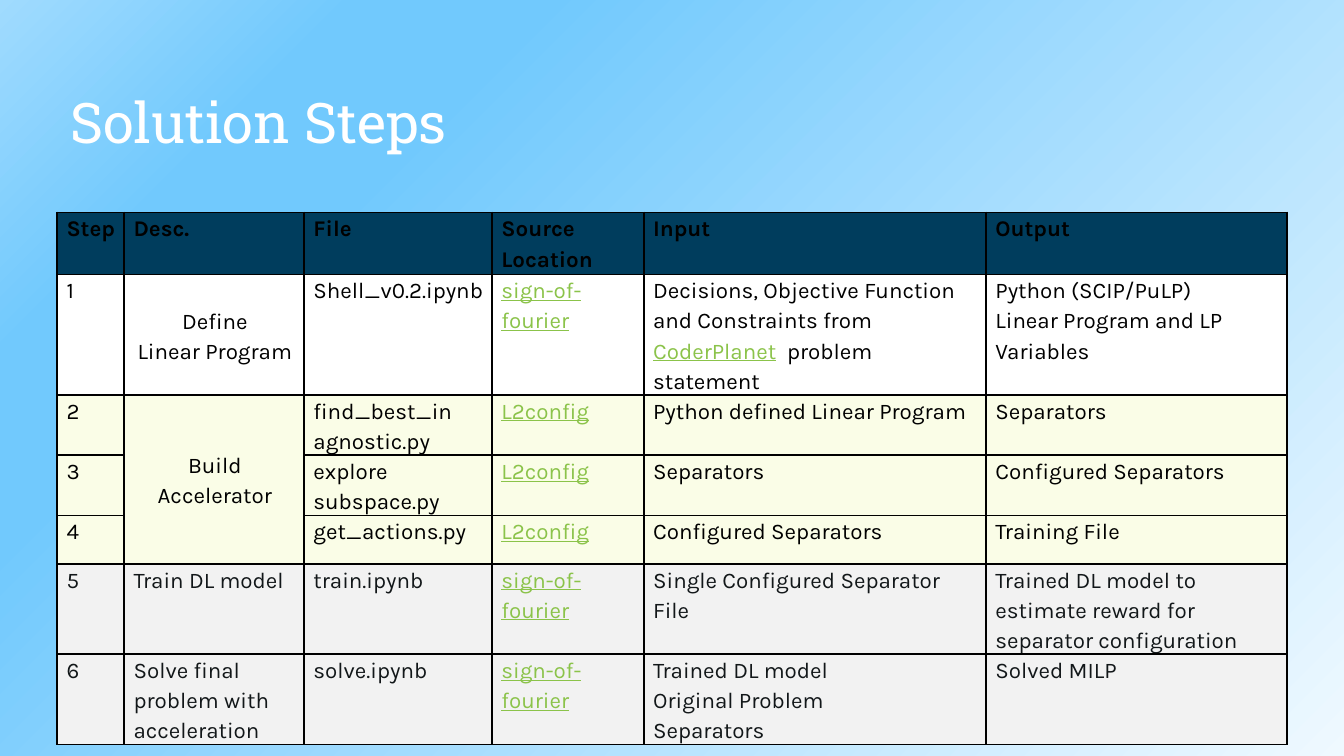
from dataclasses import dataclass

from lxml.etree import SubElement
from pptx import Presentation
from pptx.dml.color import RGBColor
from pptx.enum.text import MSO_ANCHOR as Anchor, MSO_AUTO_SIZE as AutoSize, PP_ALIGN as Align
from pptx.oxml.ns import qn
from pptx.util import Inches, Pt


@dataclass(frozen=True)
class Theme:
    """Colours, fonts and type sizes of the slide."""
    title_font: str = "Roboto Slab"
    body_font: str = "Karla"
    title_size: int = 30
    body_size: int = 12
    title: str = "FFFFFF"
    text: str = "000000"
    soft_text: str = "121719"
    link: str = "8BC34A"
    border: str = "000000"
    header: str = "003D5D"
    define: str = "FFFFFF"
    build: str = "FAFDE7"
    solve: str = "F2F2F2"
    gradient: tuple = ((0, "EFF9FF"), (74, "71C9FD"), (83, "71C9FD"), (100, "A0DBFE"))
    gradient_angle: int = 225


THEME = Theme()
TITLE_BOX = (4.25, 8.9, 91.5, 13.3)
TABLE_BOX = (4.25, 28.1, 91.5, 60)
COLUMN_WEIGHTS = (0.5, 1.34, 1.4, 1.13, 2.55, 2.24)
ROW_WEIGHTS = (0.46, 0.73, 0.36, 0.36, 0.36, 0.55, 0.55)
LINK_MARK = "|"
STEPS = (
    ("Step", "Desc.", "File", "Source Location", "Input", "Output"),
    ("1", "Define\nLinear Program", "Shell_v0.2.ipynb", "|sign-of-fourier|",
     "Decisions, Objective Function and Constraints from |CoderPlanet|  problem statement",
     "Python (SCIP/PuLP)\nLinear Program and LP Variables"),
    ("2", "Build Accelerator", "find_best_in agnostic.py", "|L2config|",
     "Python defined Linear Program", "Separators"),
    ("3", "", "explore subspace.py", "|L2config|", "Separators", "Configured Separators"),
    ("4", "", "get_actions.py", "|L2config|", "Configured Separators", "Training File"),
    ("5", "Train DL model", "train.ipynb", "|sign-of-fourier|",
     "Single Configured Separator File",
     "Trained DL model to estimate reward for separator configuration"),
    ("6", "Solve final problem with acceleration", "solve.ipynb", "|sign-of-fourier|",
     "Trained DL model\nOriginal Problem\nSeparators", "Solved MILP"),
)
ROW_FILLS = (THEME.header, THEME.define, *[THEME.build] * 3, *[THEME.solve] * 2)
CENTRED_CELLS = {(1, 1), (2, 1)}


def place(presentation, percents):
    """Turn percentages of the slide into left, top, width and height."""
    width, height = presentation.slide_width, presentation.slide_height
    return [int(percent * side / 100) for percent, side in zip(percents, (width, height) * 2)]


def add_run(paragraph, text, font_name, size, colour):
    """Add one formatted run and return its font."""
    run = paragraph.add_run()
    run.text = text
    run.font.name = font_name
    run.font.size = Pt(size)
    run.font.color.rgb = RGBColor.from_string(colour)
    return run.font


def paint_background(slide):
    """Fill the slide with the diagonal gradient."""
    slide.background.fill.gradient()
    gradient = slide.element.find(".//" + qn("a:gradFill"))
    stops = gradient.find(qn("a:gsLst"))
    stops.clear()
    for position, colour in THEME.gradient:
        stop = SubElement(stops, qn("a:gs"), pos=str(position * 1000))
        SubElement(stop, qn("a:srgbClr"), val=colour)
    gradient.find(qn("a:lin")).set("ang", str(THEME.gradient_angle * 60000))


def build_title(slide, box, text):
    """Place the title placeholder in its box."""
    title = slide.shapes.title
    title.left, title.top, title.width, title.height = box
    frame = title.text_frame
    frame.auto_size = AutoSize.NONE
    frame.word_wrap = True
    frame.vertical_anchor = Anchor.BOTTOM
    frame.margin_left = frame.margin_right = Inches(0.1)
    frame.margin_top = frame.margin_bottom = Inches(0.1)
    paragraph = frame.paragraphs[0]
    paragraph.alignment = Align.LEFT
    add_run(paragraph, text, THEME.title_font, THEME.title_size, THEME.title)


def style_cell(cell, fill):
    """Give a cell its margins, borders and fill."""
    cell.margin_left, cell.margin_right = Inches(0.07), Inches(0.06)
    cell.margin_top = cell.margin_bottom = 0
    properties = cell._tc.get_or_add_tcPr()
    for side in ("a:lnL", "a:lnR", "a:lnT", "a:lnB"):
        line = SubElement(properties, qn(side), w=str(Pt(1)))
        SubElement(SubElement(line, qn("a:solidFill")), qn("a:srgbClr"), val=THEME.border)
    cell.fill.solid()
    cell.fill.fore_color.rgb = RGBColor.from_string(fill)


def write_cell(cell, text, colour, bold, centred):
    """Write paragraphs, underlining the parts between link marks."""
    cell.vertical_anchor = Anchor.MIDDLE if centred else Anchor.TOP
    frame = cell.text_frame
    for index, line in enumerate(text.split("\n")):
        paragraph = frame.add_paragraph() if index else frame.paragraphs[0]
        paragraph.line_spacing = 1.15
        paragraph.alignment = Align.CENTER if centred else Align.LEFT
        for part, words in enumerate(line.split(LINK_MARK)):
            if words:
                is_link = part % 2 == 1
                font = add_run(paragraph, words, THEME.body_font, THEME.body_size,
                               THEME.link if is_link else colour)
                font.bold = bold
                font.underline = is_link


def build_steps_table(slide, box):
    """Place the table of solution steps in its box."""
    left, top, width, height = box
    table = slide.shapes.add_table(len(STEPS), len(COLUMN_WEIGHTS), left, top, width, height).table
    table.first_row = table.horz_banding = False
    for column, weight in zip(table.columns, COLUMN_WEIGHTS):
        column.width = int(width * weight / sum(COLUMN_WEIGHTS))
    for row, weight in zip(table.rows, ROW_WEIGHTS):
        row.height = int(height * weight / sum(ROW_WEIGHTS))
    table.cell(2, 1).merge(table.cell(4, 1))
    for row, (texts, fill) in enumerate(zip(STEPS, ROW_FILLS)):
        colour = THEME.soft_text if fill == THEME.solve else THEME.text
        for column, text in enumerate(texts):
            cell = table.cell(row, column)
            style_cell(cell, fill)
            if not cell.is_spanned:
                write_cell(cell, text, colour, row == 0, (row, column) in CENTRED_CELLS)


def main():
    """Build and save the presentation."""
    presentation = Presentation()
    presentation.slide_width = Inches(10)
    presentation.slide_height = Inches(10 * 9 / 16)
    slide = presentation.slides.add_slide(presentation.slide_layouts[5])
    paint_background(slide)
    build_title(slide, place(presentation, TITLE_BOX), "Solution Steps")
    build_steps_table(slide, place(presentation, TABLE_BOX))
    presentation.save("out.pptx")


if __name__ == "__main__":
    main()
